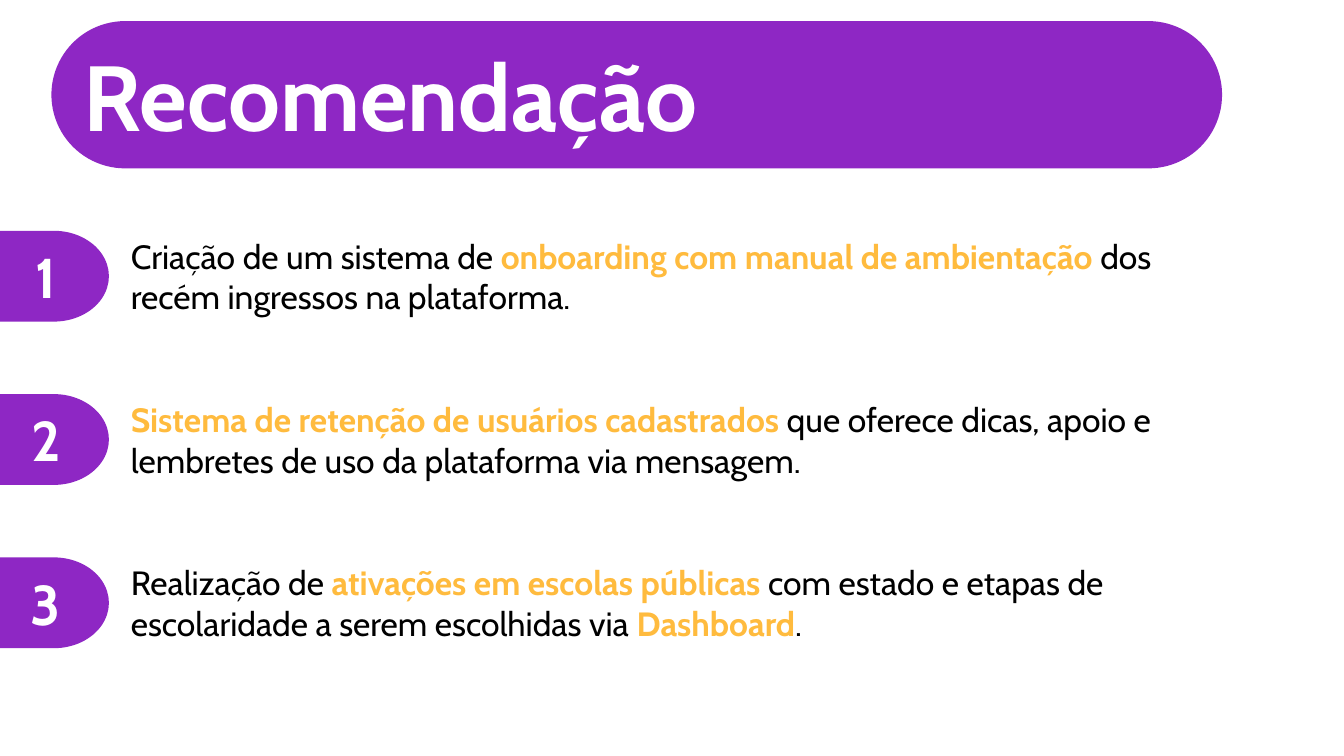
import pptx
import pptx.util
import pptx.dml.color
import pptx.enum.shapes
import pptx.enum.text

PX = 9144  # 100 px to the inch
SHAPE = pptx.enum.shapes.MSO_SHAPE
ALIGN = pptx.enum.text.PP_ALIGN
ITEMS = [
    "Criação de um sistema de *onboarding com manual de ambientação*"
    " dos recém ingressos na plataforma.",
    "*Sistema de retenção de usuários cadastrados *"
    "que oferece dicas, apoio e lembretes de uso da plataforma via mensagem.",
    "Realização de *ativações em escolas públicas *com estado e etapas de"
    " escolaridade a serem escolhidas via *Dashboard*.",
]


def color(code):
    return pptx.dml.color.RGBColor.from_string(code)


class Deck:
    font = "Cabin"
    purple = "8E27C4"
    gold = "FFBB3E"
    white = "FFFFFF"
    black = "000000"

    def __init__(self, wide, high):
        self.file = pptx.Presentation()
        self.file.slide_width = wide * PX
        self.file.slide_height = high * PX
        self.slide = self.file.slides.add_slide(self.file.slide_layouts[6])

    def style(self, run, size, code, bold):
        run.font.name = self.font
        run.font.size = pptx.util.Pt(size)
        run.font.color.rgb = color(code)
        run.font.bold = bold

    def badge(self, home, kind, box, text, size, align):
        """Add a purple shape with bold white text to a slide or group."""
        shape = home.shapes.add_shape(kind, *(n * PX for n in box))
        shape.shadow.inherit = False
        shape.fill.solid()
        shape.fill.fore_color.rgb = color(self.purple)
        shape.line.color.rgb = color(self.purple)
        shape.line.width = pptx.util.Pt(1.5)
        frame = shape.text_frame
        frame.text = text
        frame.vertical_anchor = pptx.enum.text.MSO_ANCHOR.MIDDLE
        line = frame.paragraphs[0]
        line.alignment = align
        self.style(line.runs[0], size, self.white, True)
        return shape

    def note(self, home, box, text, size):
        """Add wrapped text in which *starred* parts are bold and gold."""
        frame = home.shapes.add_textbox(*(n * PX for n in box)).text_frame
        frame.word_wrap = True
        frame.auto_size = pptx.enum.text.MSO_AUTO_SIZE.SHAPE_TO_FIT_TEXT
        for i, part in enumerate(text.split("*")):
            if part:
                run = frame.paragraphs[0].add_run()
                run.text = part
                bold = i % 2 == 1
                self.style(run, size, self.gold if bold else self.black, bold)

    def item(self, top, mark, text):
        group = self.slide.shapes.add_group_shape()
        self.badge(group, SHAPE.FLOWCHART_DELAY, (0, top, 107, 88),
                   mark, 40, ALIGN.CENTER)
        self.note(group, (120, top - 1, 1053, 91), text, 24)


def main():
    deck = Deck(1333, 750)
    title = deck.badge(deck.slide, SHAPE.ROUNDED_RECTANGLE,
                       (52, 22, 1159, 144), "Recomendação", 66, ALIGN.LEFT)
    title.adjustments[0] = 0.5
    for i, text in enumerate(ITEMS):
        deck.item(230 + 162 * i, str(i + 1), text)
    deck.file.save("out.pptx")


if __name__ == "__main__":
    main()
